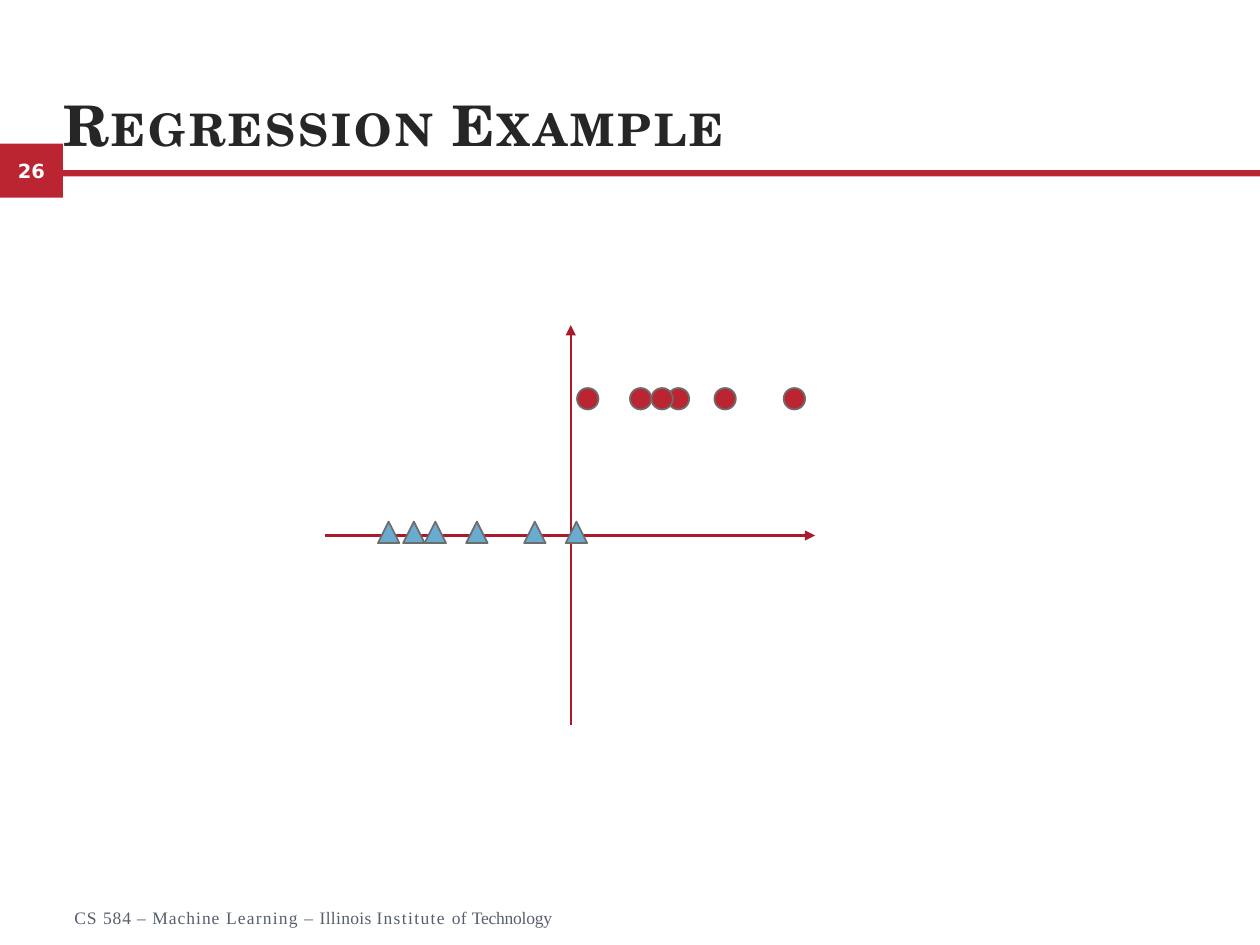
import pptx
import pptx.util
import pptx.dml.color
import pptx.enum.shapes
import pptx.enum.text
import pptx.oxml.ns
import lxml.etree

Inches, Pt = pptx.util.Inches, pptx.util.Pt
RGBColor = pptx.dml.color.RGBColor
SHAPE = pptx.enum.shapes.MSO_SHAPE
ANCHOR = pptx.enum.text.MSO_ANCHOR
ALIGN = pptx.enum.text.PP_ALIGN
qn = pptx.oxml.ns.qn

RED = RGBColor(0xBB, 0x25, 0x32)
AXIS = RGBColor(0xAB, 0x19, 0x2D)
BLUE = RGBColor(0x6A, 0xAC, 0xD0)
EDGE = RGBColor(0x6D, 0x6D, 0x6D)
INK = RGBColor(0x26, 0x26, 0x26)
SLATE = RGBColor(0x56, 0x5F, 0x6C)
WHITE = RGBColor(0xFF, 0xFF, 0xFF)

MARK = 0.17  # size of a data point


def set_font(run, name, size, color, bold=False, gap=0):
    font = run.font
    font.name, font.size, font.bold = name, Pt(size), bold
    font.color.rgb = color
    if gap:
        run._r.get_or_add_rPr().set("spc", str(round(gap * 100)))


def set_frame(frame, top=0):
    frame.word_wrap = True
    frame.margin_left = frame.margin_right = frame.margin_bottom = 0
    frame.margin_top = Inches(top)


def add_part(slide, kind, box, fill, edge=None):
    part = slide.shapes.add_shape(kind, *map(Inches, box))
    part.shadow.inherit = False
    part.fill.solid()
    part.fill.fore_color.rgb = fill
    if edge is None:
        part.line.fill.background()
    else:
        part.line.color.rgb = edge
        part.line.width = Pt(1)
    return part


def add_arrow(slide, start, end):
    arrow = slide.shapes.add_connector(
        pptx.enum.shapes.MSO_CONNECTOR.STRAIGHT, *map(Inches, start + end))
    arrow.line.color.rgb = AXIS
    arrow.line.width = Pt(1.25)
    line = arrow.line._get_or_add_ln()
    lxml.etree.SubElement(line, qn("a:tailEnd"), type="triangle")
    lxml.etree.SubElement(arrow._element.spPr, qn("a:effectLst"))


def add_band(slide, left, top, width, height):
    """Page number tab, with a rule running to the right edge."""
    tab = 0.5
    part = add_part(slide, SHAPE.RECTANGLE, (left, top, tab, height), RED)
    frame = part.text_frame
    set_frame(frame)
    frame.text = "26"
    frame.vertical_anchor = ANCHOR.MIDDLE
    para = frame.paragraphs[0]
    para.alignment = ALIGN.CENTER
    set_font(para.runs[0], "DejaVu Sans", 11.1, WHITE, True)
    add_part(slide, SHAPE.RECTANGLE,
             (left + tab, top + 0.21, width - tab, 0.05), RED)


def add_title(slide, left, top, width, height):
    title = slide.shapes.title
    title.left, title.top = Inches(left), Inches(top)
    title.width, title.height = Inches(width), Inches(height)
    frame = title.text_frame
    set_frame(frame, 0.51)
    frame.auto_size = pptx.enum.text.MSO_AUTO_SIZE.NONE
    frame.vertical_anchor = ANCHOR.BOTTOM
    frame.text = "Regression Example"
    para = frame.paragraphs[0]
    para.alignment = ALIGN.LEFT
    para.space_before = Pt(1)
    para.line_spacing = 1.0
    run = para.runs[0]
    set_font(run, "TeX Gyre Schola", 32, INK, True, 1.8)
    run._r.get_or_add_rPr().set("cap", "small")


def add_plot(slide, left, top, width, height):
    """Axes, with class one above and class zero on the x axis."""
    mid, base = left + 1.95, top + 1.67
    add_arrow(slide, (mid, top + height), (mid, top))
    add_arrow(slide, (left, base), (left + width, base))

    groups = [
        (SHAPE.OVAL, RED, top + 0.5, (2.42, 2.72, 2, 2.59, 3.09, 3.64)),
        (SHAPE.ISOSCELES_TRIANGLE, BLUE, base - 0.11,
         (0.42, 0.79, 1.12, 1.58, 1.91, 0.62)),
    ]
    for kind, fill, y, steps in groups:
        for x in steps:
            add_part(slide, kind, (left + x, y, MARK, MARK), fill, EDGE)


def add_foot(slide, left, top, width, height):
    box = slide.shapes.add_textbox(*map(Inches, (left, top, width, height)))
    set_frame(box.text_frame)
    para = box.text_frame.paragraphs[0]
    para.space_before = Pt(0.8)
    words = [("CS ", 0.6), ("584 ", 0.5), ("– Machine ", 0.6),
             ("Learning ", 0.7), ("– ", 0.6), ("Illinois ", 0.2),
             ("Institute ", 0.8), ("of ", 0.2), ("Technology", -0.1)]
    for text, gap in words:
        run = para.add_run()
        run.text = text
        set_font(run, "Times New Roman", 10, SLATE, gap=gap)


def main():
    deck = pptx.Presentation()
    deck.slide_width, deck.slide_height = Inches(10), Inches(7.5)
    slide = deck.slides.add_slide(deck.slide_layouts.get_by_name("Title Only"))
    add_band(slide, 0, 1.14, 10, 0.43)
    add_title(slide, 0.5, 0.19, 9, 1.06)
    add_foot(slide, 0.59, 7.2, 3.94, 0.2)
    add_plot(slide, 2.58, 2.58, 3.89, 3.17)
    deck.save("out.pptx")


if __name__ == "__main__":
    main()
